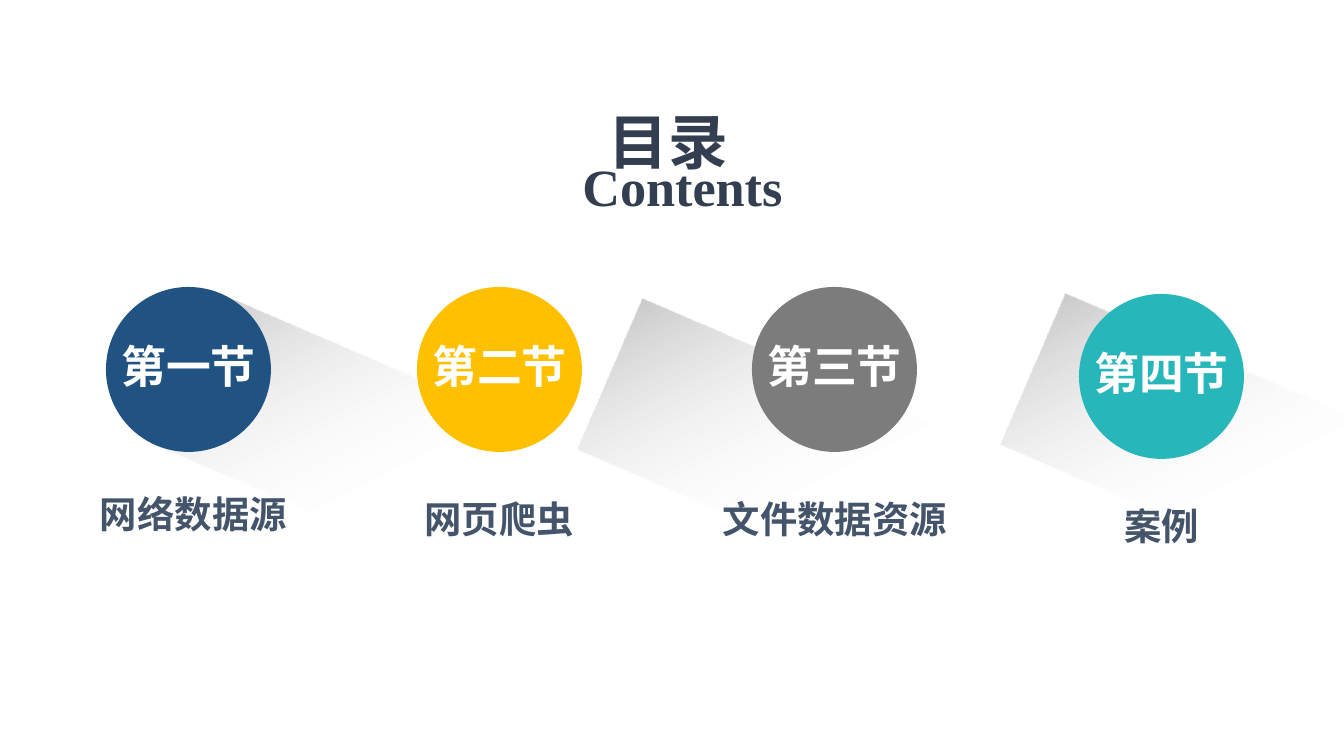
import pptx
import pptx.util
import pptx.dml.color
import pptx.enum.shapes
import pptx.enum.text
import pptx.oxml
import pptx.oxml.ns
from lxml import etree

PX = 914400 / 134.4
SANS, SERIF = "Noto Sans CJK SC", "Times New Roman"
COLORS = {
    "title": "333F50", "caption": "44546A", "label": "FFFFFF",
    "blue": "205381", "yellow": "FFC000", "gray": "7C7C7C", "teal": "27B6B9",
    "shadow": "BFBFBF", "fade": "FFFFFF",
}
CIRCLE = 165
SHADOW_W, SHADOW_H = 500, 164

# label, caption, colour, circle left and top, caption box and shadow offset from the circle
SECTIONS = [
    ("第一节", "网络数据源", "blue", 106, 287, (-48, 204, 271), (54, 96)),
    ("第二节", "网页爬虫", "yellow", 417, 287, (7, 209, 151), None),
    ("第三节", "文件数据资源", "gray", 752, 287, (-30, 209, 226), (-162, 104)),
    ("第四节", "案例", "teal", 1079, 294, (45, 209, 75), (-66, 92)),
]


def px(n):
    return pptx.util.Emu(round(n * PX))


def box(*lengths):
    return [px(n) for n in lengths]


def rgb(name):
    return pptx.dml.color.RGBColor.from_string(COLORS[name])


def write(s, text, size, color, font=SANS, align="CENTER", anchor="MIDDLE", wrap=False):
    tf = s.text_frame
    tf.auto_size = pptx.enum.text.MSO_AUTO_SIZE.NONE
    tf.word_wrap = wrap
    tf.margin_left = tf.margin_right = tf.margin_top = tf.margin_bottom = 0
    tf.vertical_anchor = getattr(pptx.enum.text.MSO_ANCHOR, anchor)
    tf.text = text
    p = tf.paragraphs[0]
    p.alignment = getattr(pptx.enum.text.PP_ALIGN, align)
    p.font.size = pptx.util.Pt(size)
    p.font.bold = True
    p.font.color.rgb = rgb(color)
    p.font.name = font
    qn = pptx.oxml.ns.qn
    etree.SubElement(p._p.pPr.find(qn("a:defRPr")), qn("a:ea"), typeface=font)


def add_heading(slide, x, y):
    s = slide.shapes.title
    s.left, s.top, s.width, s.height = box(x, y, 148, 67)
    write(s, "目录", 32, "title", align="LEFT", anchor="TOP", wrap=True)
    s = slide.shapes.add_textbox(*box(x - 11, y - 3, 169, 167))
    write(s, "Contents", 28, "title", font=SERIF)


def add_shadow(slide, x, y):
    """Tilted bar that fades from grey to clear."""
    s = slide.shapes.add_shape(
        pptx.enum.shapes.MSO_SHAPE.RECTANGLE, *box(x, y, SHADOW_W, SHADOW_H))
    s.rotation = 23.3
    s.shadow.inherit = False
    s.line.fill.background()
    grad = pptx.oxml.parse_xml(
        f'<a:gradFill {pptx.oxml.ns.nsdecls("a")} rotWithShape="1"><a:gsLst>'
        f'<a:gs pos="0"><a:srgbClr val="{COLORS["shadow"]}"/></a:gs>'
        f'<a:gs pos="54000"><a:srgbClr val="{COLORS["fade"]}"><a:alpha val="0"/></a:srgbClr></a:gs>'
        '</a:gsLst><a:lin ang="2400000" scaled="0"/></a:gradFill>')
    s._element.spPr.find(pptx.oxml.ns.qn("a:prstGeom")).addnext(grad)


def add_section(slide, x, y, label, caption, color, caption_box):
    s = slide.shapes.add_shape(
        pptx.enum.shapes.MSO_SHAPE.OVAL, *box(x, y, CIRCLE, CIRCLE))
    s.shadow.inherit = False
    s.fill.solid()
    s.fill.fore_color.rgb = rgb(color)
    s.line.fill.background()
    s = slide.shapes.add_textbox(*box(x - 6, y + 45, CIRCLE + 12, 67))
    write(s, label, 24, "label")
    dx, dy, w = caption_box
    s = slide.shapes.add_textbox(*box(x + dx, y + dy, w, 46))
    write(s, caption, 20, "caption")


def main():
    prs = pptx.Presentation()
    prs.slide_width, prs.slide_height = box(1344, 756)
    slide = prs.slides.add_slide(prs.slide_layouts[5])
    add_heading(slide, 609, 105)
    for *_, x, y, _, shadow in SECTIONS:
        if shadow:
            add_shadow(slide, x + shadow[0], y + shadow[1])
    for label, caption, color, x, y, caption_box, _ in SECTIONS:
        add_section(slide, x, y, label, caption, color, caption_box)
    prs.save("out.pptx")


if __name__ == "__main__":
    main()
